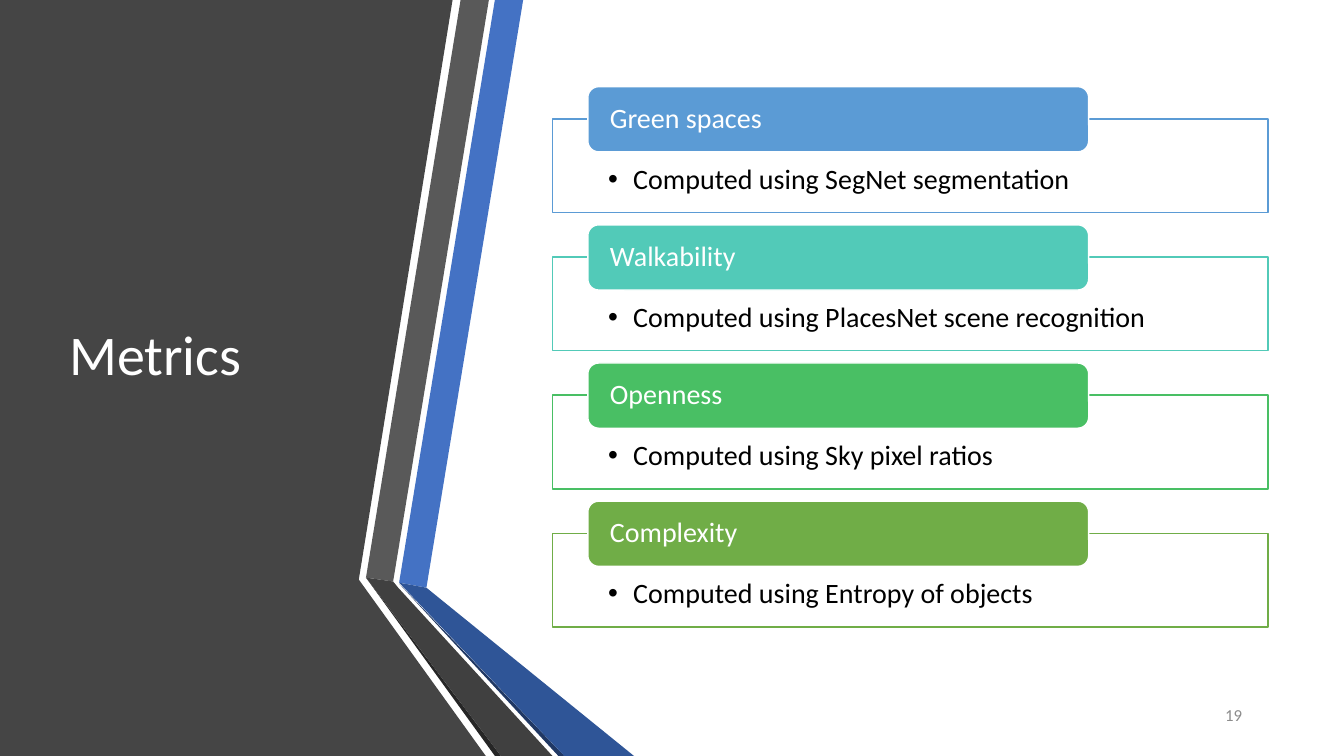
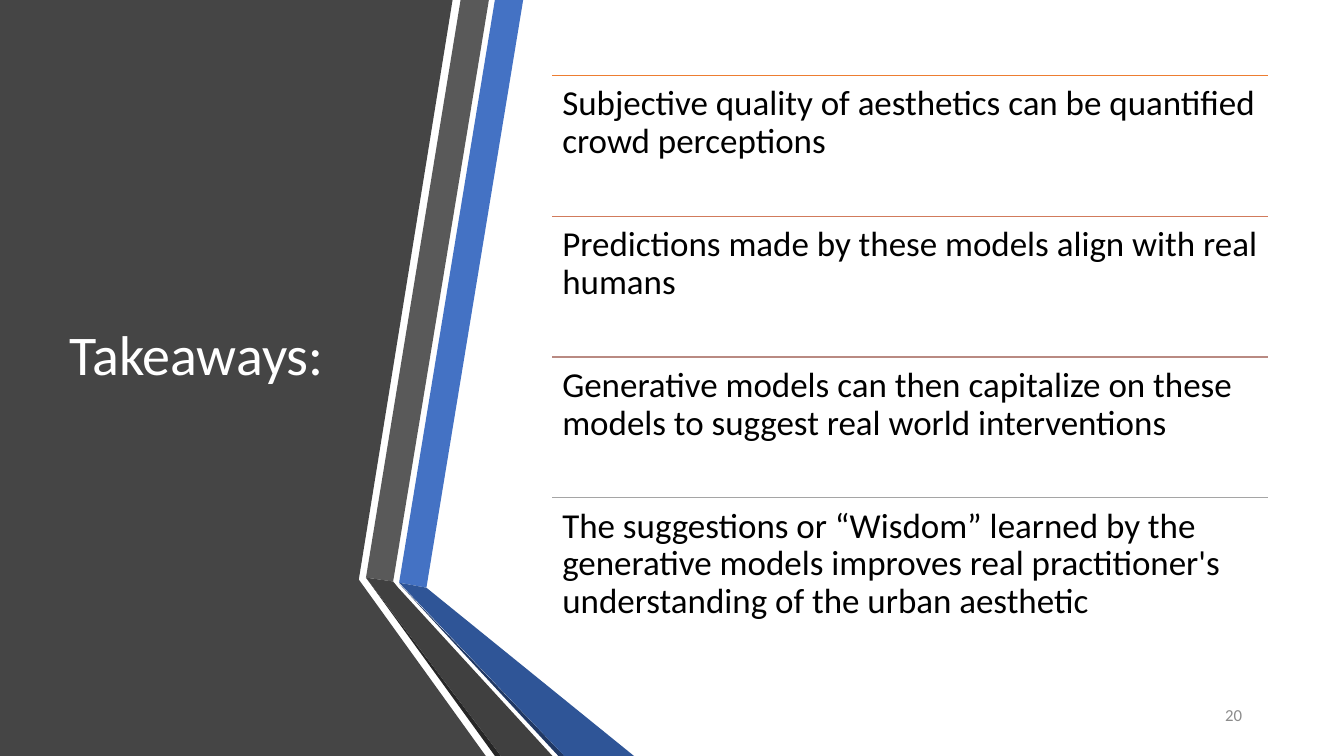
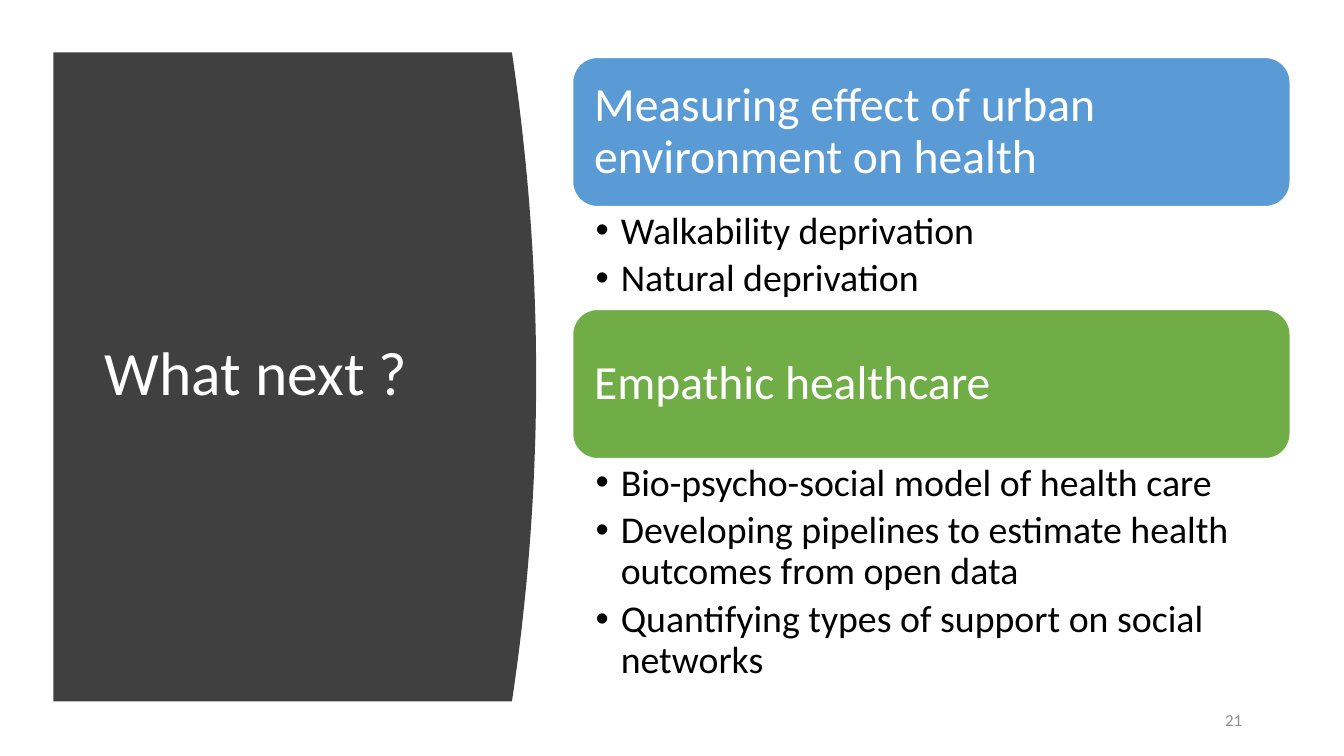
from lxml import etree
from pptx import Presentation, util as u
from pptx.dml.color import RGBColor
from pptx.enum import shapes, text
from pptx.oxml import ns

WHITE, BLACK, CHARCOAL, MUTED = "FFFFFF", "000000", "404040", "8C8C8C"
BLUE, GREEN = "5B9BD5", "70AD47"


def paint(fill, colour):
    fill.solid()
    fill.fore_color.rgb = RGBColor.from_string(colour)


def write(box, lines, size, colour, insets=(7.2, 3.6, 7.2, 3.6), anchor="MIDDLE",
          align="LEFT", bullet=False, gap=0):
    frame = box.text_frame
    settings = dict(zip(("margin_left", "margin_top", "margin_right", "margin_bottom"),
                        map(u.Pt, insets)))
    settings.update(word_wrap=True, vertical_anchor=text.MSO_ANCHOR[anchor])
    for name, value in settings.items():
        setattr(frame, name, value)
    for index, line in enumerate(lines):
        para = frame.add_paragraph() if index else frame.paragraphs[0]
        if bullet:
            props = para._p.get_or_add_pPr()
            props.set("marL", str(u.Pt(18)))
            props.set("indent", str(u.Pt(-18)))
            etree.SubElement(props, ns.qn("a:buFont")).set("typeface", "Arial")
            etree.SubElement(props, ns.qn("a:buChar")).set("char", "•")
        layout = {"alignment": text.PP_ALIGN[align], "line_spacing": 0.9, "space_after": u.Pt(gap)}
        for name, value in layout.items():
            setattr(para, name, value)
        span = para.add_run()
        span.text = line
        for name, value in {"name": "Calibri", "size": u.Pt(size)}.items():
            setattr(span.font, name, value)
        paint(span.font.fill, colour)


deck = Presentation()
deck.slide_width, deck.slide_height = u.Pt(960), u.Pt(540)

ribbons = [
    ("454545", [(0, 0), (323.3, 0), (256.3, 414), (347, 540), (0, 540)]),
    ("4472C4", [(285.1, 416.2), (304.6, 419.8), (373.7, 0), (353.5, 0)]),
    ("595959", [(349.2, 0), (329, 0), (261.4, 412.6), (280.8, 415.4)]),
    ("262626", [(261.4, 412.6), (353.5, 540), (357.8, 540)]),
    ("203864", [(285.1, 416.9), (398.9, 540), (403.2, 540)]),
    ("2F5597", [(285.1, 416.2), (403.2, 540), (452.9, 540), (304.6, 419.8)]),
    (CHARCOAL, [(394.6, 540), (284.4, 419.8), (280.8, 415.4), (261.4, 412.6), (357.8, 540)]),
]
steps = [step / 20 for step in range(-20, 21)]
curve = [(383 - 17.3 * step ** 2, 269.3 + 231.8 * step) for step in steps]
curved_panel = [(CHARCOAL, [(38.2, 37.4), *curve, (38.2, 501.1)])]

side_title, side_number = (42.5, 54, 218.9, 401.8), (808.6, 496.8, 85.7, 28.8)
pages = []
for number, (title, size, title_area, number_area, backdrop) in enumerate([
    ("Metrics", 40, side_title, side_number, ribbons),
    ("Takeaways:", 40, side_title, side_number, ribbons),
    ("What next ?", 44, (67.7, 79.9, 269.3, 377.3), (844.6, 500.4, 49.7, 28.8), curved_panel),
], 19):
    page = deck.slides.add_slide(deck.slide_layouts[6])
    pages.append(page)
    for colour, points in backdrop:
        corners = [(u.Pt(x), u.Pt(y)) for x, y in points]
        outline = page.shapes.build_freeform(*corners[0])
        outline.add_line_segments(corners[1:], close=True)
        band = outline.convert_to_shape()
        band.shadow.inherit = False
        paint(band.fill, colour)
        band.line.fill.background()
    write(page.shapes.add_textbox(*map(u.Pt, title_area)), [title], size, WHITE)
    write(page.shapes.add_textbox(*map(u.Pt, number_area)), [str(number)], 12, MUTED, align="RIGHT")

metrics, takeaways, future = pages
left, width = 394.6, 511.2

for row, (name, source, colour) in enumerate([
    ("Green spaces", "SegNet segmentation", BLUE),
    ("Walkability", "PlacesNet scene recognition", "52CAB8"),
    ("Openness", "Sky pixel ratios", "49BF64"),
    ("Complexity", "Entropy of objects", GREEN),
]):
    top = 61.9 + 98.7 * row
    for kind, area, fill, line in [
        ("RECTANGLE", (left, top + 23, width, 67), WHITE, colour),
        ("ROUNDED_RECTANGLE", (419.9, top, 357.8, 46.6), colour, WHITE),
    ]:
        box = metrics.shapes.add_shape(shapes.MSO_SHAPE[kind], *map(u.Pt, area))
        box.shadow.inherit = False
        paint(box.fill, fill)
        paint(box.line.fill, line)
        box.line.width = u.Pt(1)
        if kind == "RECTANGLE":
            write(box, [f"Computed using {source}"], 20, BLACK, (39.7, 33.1, 39.7, 11.5),
                  "TOP", bullet=True)
        else:
            write(box, [name], 20, WHITE, (13.5, 0, 13.5, 0))

for row, (message, colour) in enumerate([
    ("Subjective quality of aesthetics can be quantified crowd perceptions", "ED7D31"),
    ("Predictions made by these models align with real humans", "D17B5C"),
    ("Generative models can then capitalize on these models to suggest real world interventions",
     "B98A82"),
    ("The suggestions or “Wisdom” learned by the generative models improves real practitioner's "
     "understanding of the urban aesthetic", "A5A5A5"),
]):
    top = 54 + 100.5 * row
    rule = takeaways.shapes.add_connector(
        shapes.MSO_CONNECTOR.STRAIGHT, *map(u.Pt, (left, top, left + width, top)))
    etree.SubElement(rule._element.spPr, ns.qn("a:effectLst"))
    paint(rule.line.fill, colour)
    rule.line.width = u.Pt(1)
    box = takeaways.shapes.add_textbox(*map(u.Pt, (left, top, width, 100.5)))
    write(box, [message], 25, BLACK, (7.2,) * 4, "TOP")

for top, heading, colour, height, topics in [
    (41, "Measuring effect of urban environment on health", BLUE, 73.4,
     ["Walkability deprivation", "Natural deprivation"]),
    (221, "Empathic healthcare", GREEN, 169.2,
     ["Bio-psycho-social model of health care",
      "Developing pipelines to estimate health outcomes from open data",
      "Quantifying types of support on social networks"]),
]:
    card = future.shapes.add_shape(
        shapes.MSO_SHAPE.ROUNDED_RECTANGLE, *map(u.Pt, (409, top, 512.6, 106.6)))
    card.shadow.inherit = False
    paint(card.fill, colour)
    paint(card.line.fill, WHITE)
    card.line.width = u.Pt(1)
    write(card, [heading], 34, WHITE, (10.2,) * 4)
    box = future.shapes.add_textbox(*map(u.Pt, (409, top + 106.6, 512.6, height)))
    write(box, topics, 27, BLACK, (16.4, 3.4, 18.7, 3.4), "TOP", bullet=True, gap=5)

deck.save("out.pptx")
